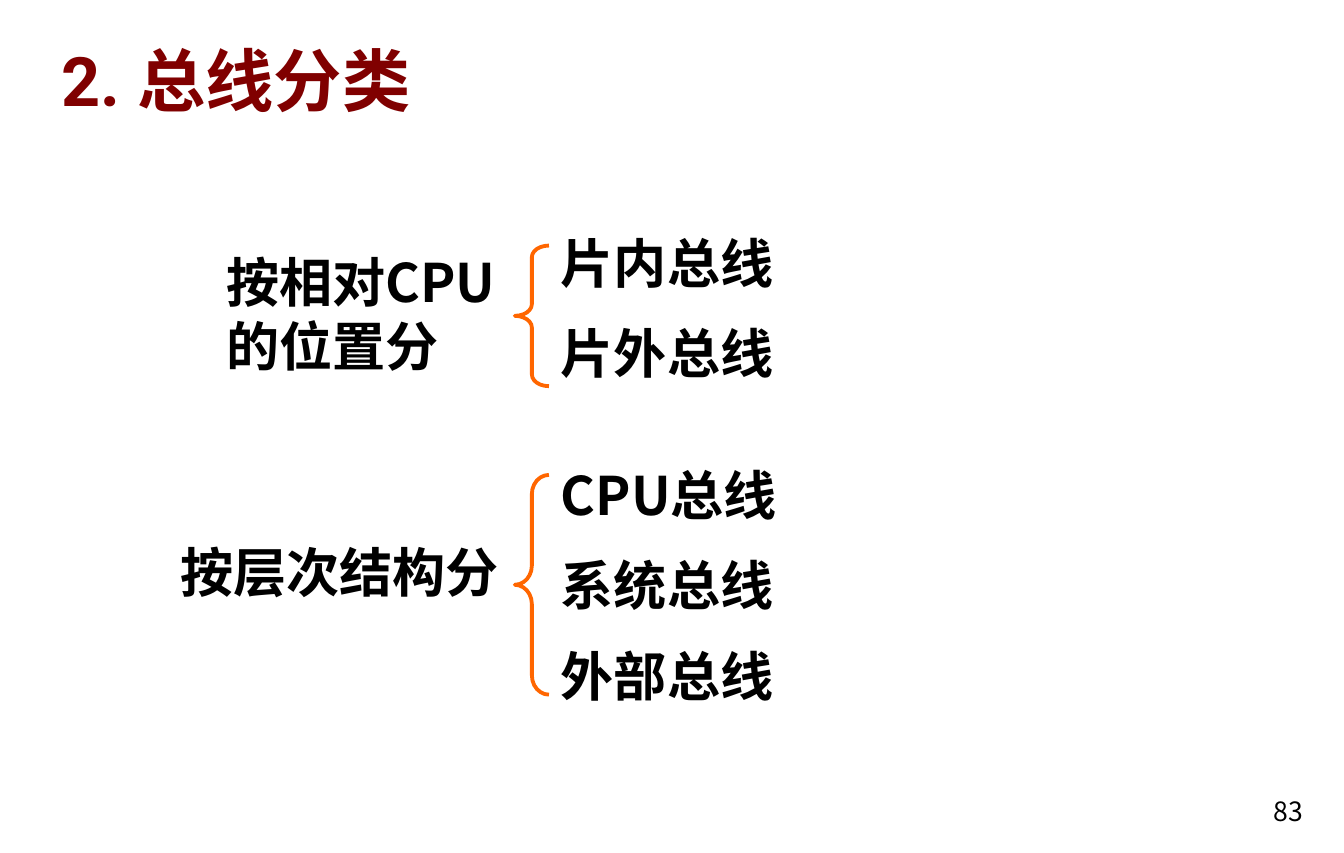
from lxml.etree import SubElement
from pptx import Presentation
from pptx.dml.color import RGBColor
from pptx.enum.shapes import MSO_SHAPE
from pptx.enum.text import MSO_ANCHOR, PP_ALIGN
from pptx.oxml.ns import qn
from pptx.util import Cm, Inches, Pt


def color(code):
    return RGBColor.from_string(code)


class BusSlide:
    """Holds the slide and its style, and draws each kind of element."""

    FONT = "Noto Sans CJK SC"
    TITLE_FONT = "Roboto"
    INK = "000000"
    TITLE_INK = "800000"
    BRACE_INK = "FF6600"

    def __init__(self, deck):
        self.slide = deck.slides.add_slide(deck.slide_layouts[6])

    def text(self, place, lines, size=28, bold=True, ink=INK, font=FONT,
             align=PP_ALIGN.LEFT, anchor=MSO_ANCHOR.TOP):
        frame = self.slide.shapes.add_textbox(*map(Inches, place)).text_frame
        frame.word_wrap = True
        frame.vertical_anchor = anchor
        frame.text = "\n".join(lines)
        for index, paragraph in enumerate(frame.paragraphs):
            paragraph.alignment = align
            paragraph.space_before = Pt(size / 2 if index else 0)
            paragraph.font.size = Pt(size)
            paragraph.font.bold = bold
            paragraph.font.color.rgb = color(ink)
            paragraph.font.name = font
            defaults = paragraph._p.pPr.find(qn("a:defRPr"))
            SubElement(defaults, qn("a:ea"), typeface=self.FONT)

    def title(self, place, wording):
        self.text(place, [wording], 36, ink=self.TITLE_INK,
                  font=self.TITLE_FONT, anchor=MSO_ANCHOR.BOTTOM)

    def page_number(self, place, number):
        self.text(place, [number], 14, bold=False,
                  align=PP_ALIGN.RIGHT, anchor=MSO_ANCHOR.BOTTOM)

    def brace(self, top, height, curve):
        brace = self.slide.shapes.add_shape(
            MSO_SHAPE.LEFT_BRACE, Inches(3.77), Inches(top),
            Inches(0.25), Inches(height))
        brace.adjustments[0] = curve
        brace.shadow.inherit = False
        brace.fill.background()
        brace.line.color.rgb = color(self.BRACE_INK)
        brace.line.width = Pt(2)


def main():
    deck = Presentation()
    deck.slide_width, deck.slide_height = Cm(25), Inches(6.25)
    page = BusSlide(deck)
    page.title((0.35, 0.21, 8.39, 0.72), "2. 总线分类")

    page.text((1.56, 1.78, 2.3, 1.04), ["按相对CPU的位置分"])
    page.brace(1.8, 1.03, 0.34)
    page.text((4.01, 1.64, 2.85, 1.28), ["片内总线", "片外总线"])

    page.text((1.22, 3.9, 2.71, 0.57), ["按层次结构分"])
    page.brace(3.48, 1.61, 0.56)
    page.text((4.01, 3.34, 2.62, 1.99), ["CPU总线", "系统总线", "外部总线"])

    page.page_number((9.02, 5.69, 0.62, 0.42), "83")
    deck.save("out.pptx")


if __name__ == "__main__":
    main()
